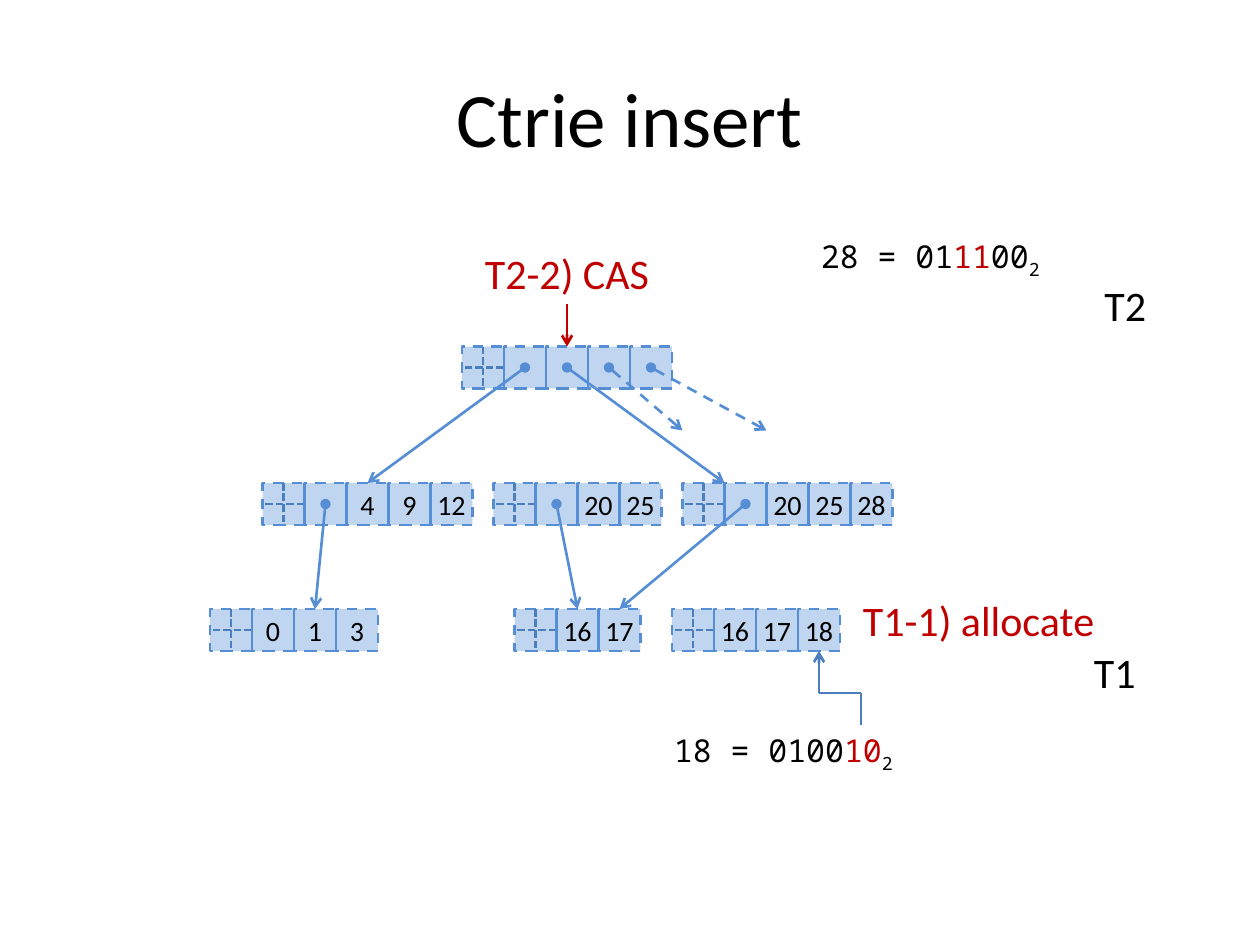
from lxml.etree import SubElement
from pptx import Presentation
from pptx.dml.color import RGBColor
from pptx.enum.dml import MSO_LINE
from pptx.enum.shapes import MSO_CONNECTOR, MSO_SHAPE
from pptx.enum.text import MSO_ANCHOR, PP_ALIGN
from pptx.oxml.ns import qn
from pptx.util import Cm, Pt

BLUE = RGBColor(0x55, 0x8E, 0xD5)
STEEL = RGBColor(0x4B, 0x7E, 0xBC)
RED = RGBColor(0xC0, 0x00, 0x00)
BLACK = RGBColor(0x00, 0x00, 0x00)
CELL = 2.54 / 3
ROOT_TOP, BRANCH_TOP, LEAF_TOP = 8.25, 11.5, 14.5


def grid(cells):
    """Convert a distance in node cells to a length."""
    return Cm(cells * CELL)


def add_line(shapes, start, end, color, dash=None, head=None, tail=None):
    """Draw a straight line between two grid points."""
    line = shapes.add_connector(
        MSO_CONNECTOR.STRAIGHT, *(grid(value) for value in (*start, *end)))
    line.line.color.rgb = color
    line.line.width = Pt(1.5)
    if dash:
        line.line.dash_style = dash
    properties = line._element.spPr
    outline = properties.find(qn("a:ln"))
    for tag, kind in (("a:headEnd", head), ("a:tailEnd", tail)):
        if kind:
            SubElement(outline, qn(tag), type=kind)
    SubElement(properties, qn("a:effectLst"))


def add_cell(shapes, left, top, key=""):
    """Draw one translucent node cell with an optional key."""
    cell = shapes.add_shape(
        MSO_SHAPE.RECTANGLE, grid(left), grid(top), grid(1), grid(1))
    cell.shadow.inherit = False
    cell.fill.solid()
    cell.fill.fore_color.rgb = BLUE
    fill_color = cell._element.spPr.find(qn("a:solidFill"))[0]
    SubElement(fill_color, qn("a:alpha"), val="37000")
    cell.line.color.rgb = BLUE
    cell.line.width = Pt(1.5)
    cell.line.dash_style = MSO_LINE.DASH
    if key:
        frame = cell.text_frame
        frame.text = key
        frame.word_wrap = False
        frame.vertical_anchor = MSO_ANCHOR.MIDDLE
        paragraph = frame.paragraphs[0]
        paragraph.alignment = PP_ALIGN.CENTER
        font = paragraph.runs[0].font
        font.name, font.size, font.color.rgb = "Calibri", Pt(16), BLACK


def add_node(slide, left, top, keys, pointers=()):
    """Draw a node: bitmap cell, key cells, and (slot, target, dash) pointers."""
    bitmap = slide.shapes.add_group_shape().shapes
    add_cell(bitmap, left, top)
    add_line(bitmap, (left + 0.5, top), (left + 0.5, top + 1), STEEL, MSO_LINE.SQUARE_DOT)
    add_line(bitmap, (left + 1, top + 0.5), (left, top + 0.5), STEEL, MSO_LINE.SQUARE_DOT)
    for slot, key in enumerate(keys, 1):
        add_cell(slide.shapes, left + slot, top, key)
    for slot, target, dash in pointers:
        source = (left + slot + 0.5, top + 0.5)
        add_line(slide.shapes, source, target, BLUE, dash, "oval", "arrow")


def add_label(slide, left, top, width, height, parts, size=24, font_name="Calibri", wrap=False):
    """Write one line made of (text, colour, is_subscript) parts."""
    label = slide.shapes.add_textbox(grid(left), grid(top), grid(width), grid(height))
    frame = label.text_frame
    frame.word_wrap = wrap
    for text, color, is_subscript in parts:
        run = frame.paragraphs[0].add_run()
        run.text = text
        run.font.name, run.font.size, run.font.color.rgb = font_name, Pt(size), color
        if is_subscript:
            run.font._element.set("baseline", "-25000")
    return frame


def add_title(slide, left, top, width, height):
    """Write the centred slide title."""
    frame = add_label(slide, left, top, width, height,
                      [("Ctrie insert", BLACK, False)], 44, wrap=True)
    frame.vertical_anchor = MSO_ANCHOR.MIDDLE
    frame.paragraphs[0].alignment = PP_ALIGN.CENTER


def add_binary(slide, left, top, before, level_bits, after=""):
    """Write a key in binary with the bits of its level in red."""
    parts = [(before, BLACK, False), (level_bits, RED, False),
             (after, BLACK, False), ("2", BLACK, True)]
    add_label(slide, left, top, 7, 1.2, [part for part in parts if part[0]],
              18, "Noto Sans Mono", True)


def add_trie(slide):
    """Draw the leaf, branch and root levels with their pointers."""
    for left, keys in ((5, ("0", "1", "3")), (12.25, ("16", "17")),
                       (16, ("16", "17", "18"))):
        add_node(slide, left, LEAF_TOP, keys)
    for left, keys, leaf_x in ((6.25, ("", "4", "9", "12"), 7.5),
                               (11.75, ("", "20", "25"), 13.75),
                               (16.25, ("", "20", "25", "28"), 14.75)):
        add_node(slide, left, BRANCH_TOP, keys, [(1, (leaf_x, LEAF_TOP), None)])
    add_node(slide, 11, ROOT_TOP, [""] * 4, [
        (1, (8.75, BRANCH_TOP), None),
        (2, (17.25, BRANCH_TOP), None),
        (3, (16.25, ROOT_TOP + 2), MSO_LINE.DASH),
        (4, (18.25, ROOT_TOP + 2), MSO_LINE.DASH),
    ])


def add_thread_steps(slide):
    """Add the thread names, their steps and the inserted keys."""
    for left, top, width, text, color in (
            (20.25, 14, 6.15, "T1-1) allocate", RED),
            (25.75, 15.25, 1.62, "T1", BLACK),
            (26, 6.5, 1.62, "T2", BLACK),
            (11.25, 5.75, 4.56, "T2-2) CAS", RED)):
        add_label(slide, left, top, width, 1.53, [(text, color, False)])
    add_binary(slide, 15.75, 17.25, "18 = 0100", "10")
    add_binary(slide, 19.25, 5.5, "28 = 01", "11", "00")
    add_line(slide.shapes, (13.5, 7.25), (13.5, ROOT_TOP), RED, tail="arrow")
    route = [(20.5, 17.25), (20.5, 16.5), (19.5, 16.5), (19.5, LEAF_TOP + 1)]
    for start, end, tail in zip(route, route[1:], (None, None, "arrow")):
        add_line(slide.shapes, start, end, STEEL, tail=tail)


def main():
    """Build and save the slide."""
    presentation = Presentation()
    presentation.slide_width, presentation.slide_height = Cm(25.4), Cm(19.05)
    slide = presentation.slides.add_slide(presentation.slide_layouts[6])
    add_title(slide, 1.5, 0.9, 27, 3.75)
    add_trie(slide)
    add_thread_steps(slide)
    presentation.save("out.pptx")


if __name__ == "__main__":
    main()
